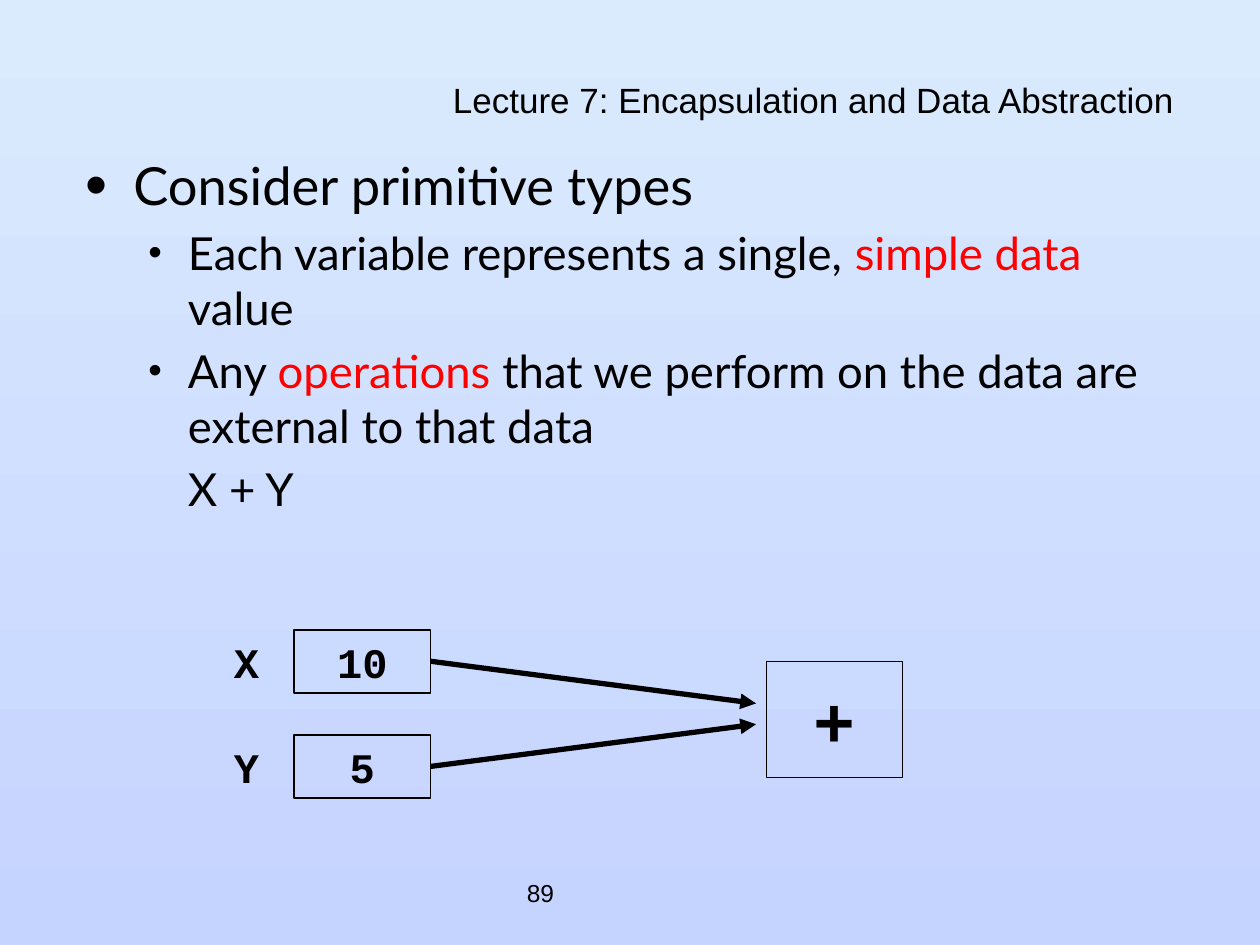
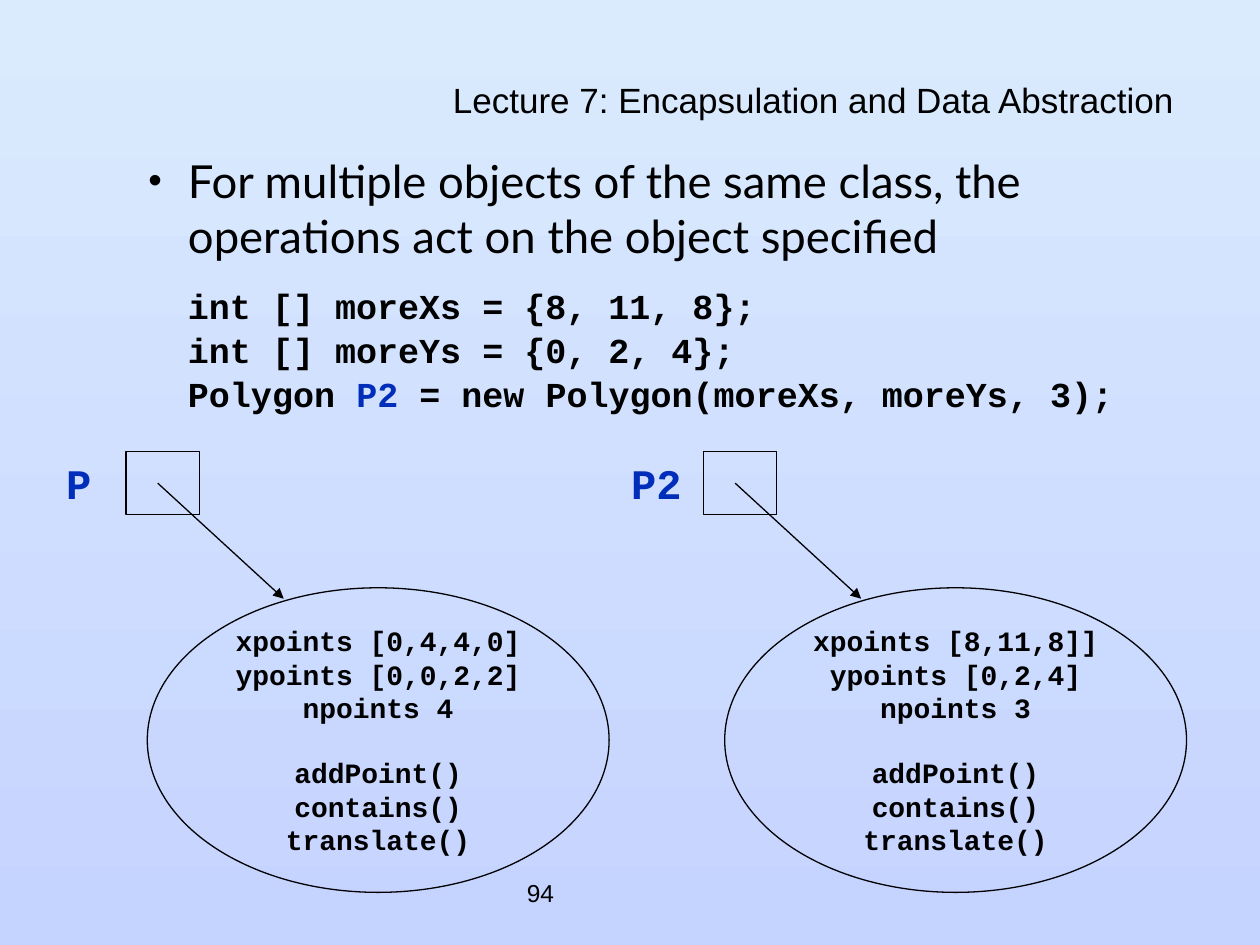
from dataclasses import dataclass

from lxml import etree
from pptx import Presentation, util as u
from pptx.dml.color import RGBColor
from pptx.enum import shapes, text
from pptx.oxml import ns


@dataclass(frozen=True)
class Theme:
    sky: str = "DAEBFE"
    lavender: str = "C5D3FF"
    ink: str = "000000"
    red: str = "FF0000"
    blue: str = "002DB9"
    sans: str = "Arial"
    body: str = "Lato"
    mono: str = "Courier New"
    page_size: int = 14
    title_size: int = 20
    topic_size: int = 30
    detail_size: int = 26
    code_size: int = 20
    name_size: int = 24
    member_size: int = 16
    operator_size: int = 40
    thin: float = 0.75
    thick: float = 3


theme = Theme()
align = text.PP_ALIGN
mono_bold = dict(font=theme.mono, bold=True)
centred = dict(mono_bold, alignment=align.CENTER)
topic = dict(font=theme.body, size=theme.topic_size, margin=0.96, indent=-0.96, bullet=120)
detail = dict(font=theme.body, size=theme.detail_size, level=1, margin=2.06, indent=-0.8, bullet=85)


def add_box(slide, left, top, width, height, kind=None, wrap=False):
    """Add an outlined shape, or a text box when no kind is given."""
    place = [u.Cm(length) for length in (left, top, width, height)]
    if kind is None:
        shape = slide.shapes.add_textbox(*place)
    else:
        shape = slide.shapes.add_shape(kind, *place)
        shape.shadow.inherit = False
        shape.fill.background()
        shape.line.color.rgb = RGBColor.from_string(theme.ink)
        shape.line.width = u.Pt(theme.thin)
    shape.text_frame.word_wrap = wrap
    shape.text_frame.vertical_anchor = text.MSO_ANCHOR.MIDDLE
    return shape


def write(shape, words, size, font, color=theme.ink, bold=False, alignment=align.LEFT, level=0,
          margin=0, indent=0, bullet=None, before=0, spacing=None, accent="", accent_color=theme.red):
    """Add one paragraph; the accent words within it take the accent colour."""
    frame = shape.text_frame
    paragraph = frame.add_paragraph() if frame.text else frame.paragraphs[0]
    paragraph.alignment = alignment
    paragraph.level = level
    properties = paragraph._p.get_or_add_pPr()
    properties.set("marL", str(u.Cm(margin)))
    properties.set("indent", str(u.Cm(indent)))
    if bullet:
        bullet_color = etree.SubElement(properties, ns.qn("a:buClr"))
        etree.SubElement(bullet_color, ns.qn("a:srgbClr"), val=color)
        etree.SubElement(properties, ns.qn("a:buSzPct"), val=str(bullet * 1000))
        etree.SubElement(properties, ns.qn("a:buFont"), typeface=theme.sans)
        etree.SubElement(properties, ns.qn("a:buChar"), char="•")
    if before:
        paragraph.space_before = u.Pt(before)
    if spacing:
        paragraph.line_spacing = spacing
    start, match, end = words.partition(accent) if accent else (words, "", "")
    for part, part_color in ((start, color), (match, accent_color), (end, color)):
        for number, line in enumerate(part.split("\n")):
            if number:
                paragraph.add_line_break()
            if line:
                run = paragraph.add_run()
                run.text = line
                run.font.name = font
                run.font.size = u.Pt(size)
                run.font.bold = bold
                run.font.color.rgb = RGBColor.from_string(part_color)


presentation = Presentation()
presentation.slide_width, presentation.slide_height = u.Cm(25.4), u.Cm(19.05)
rectangle, ellipse = shapes.MSO_SHAPE.RECTANGLE, shapes.MSO_SHAPE.OVAL

# Shared background, top to bottom
background = presentation.slide_master.background.fill
background.gradient()
background.gradient_angle = 270
for stop, color in zip(background.gradient_stops, (theme.sky, theme.lavender)):
    stop.color.rgb = RGBColor.from_string(color)

# Page number, title and body box of each slide
slides, bodies, arrows = [], [], []
for page in ("89", "94"):
    slide = presentation.slides.add_slide(presentation.slide_layouts[6])
    write(add_box(slide, 10.37, 17.36, 5.29, 1.27), page, theme.page_size, theme.sans)
    write(add_box(slide, 1.48, 1.69, 22.44, 0.85, wrap=True),
          "Lecture 7: Encapsulation and Data Abstraction", theme.title_size, theme.sans,
          alignment=align.RIGHT, spacing=0.7)
    body = add_box(slide, 1.48, 2.96, 22.44, 13.97, wrap=True)
    body.text_frame.vertical_anchor = text.MSO_ANCHOR.TOP
    slides.append(slide)
    bodies.append(body)
primitive_slide, object_slide = slides
primitive_body, object_body = bodies

# Primitive types: text
write(primitive_body, "Consider primitive types", **topic)
for words, accent in (
    ("Each variable represents a single, simple data value", "simple data"),
    ("Any operations that we perform on the data are external to that data", "operations"),
):
    write(primitive_body, words, accent=accent, before=5.2, **detail)
write(primitive_body, "X + Y", before=5.2, **dict(detail, indent=0, bullet=None))

# Primitive types: two variables feeding the operator
for row, (name, value) in enumerate((("X", "10"), ("Y", "5"))):
    top = 12.7 + row * 2.12
    write(add_box(primitive_slide, 4.02, top, 1.9, 1.27), name, theme.name_size, **centred)
    write(add_box(primitive_slide, 5.93, top, 2.75, 1.27, rectangle), value, theme.name_size, **centred)
    arrows.append((primitive_slide, 8.68, top + 0.63, 15.24, 14.18 + row * 0.42, theme.thick))
write(add_box(primitive_slide, 15.45, 13.34, 2.75, 2.33, rectangle), "+", theme.operator_size, **centred)

# Objects: text and code
write(object_body, "For multiple objects of the same class, the operations act on the object specified", **detail)
write(object_body,
      "int [] moreXs = {8, 11, 8};\n"
      "int [] moreYs = {0, 2, 4};\n"
      "Polygon P2 = new Polygon(moreXs, moreYs, 3);",
      theme.code_size, level=1, margin=2.06, before=12, spacing=u.Pt(25),
      accent="P2", accent_color=theme.blue, **mono_bold)

# Objects: each reference points to its own polygon
methods = ["addPoint()", "contains()", "translate()"]
polygons = (
    ("P", 0.64, 2.54, ["xpoints [0,4,4,0]", "ypoints [0,0,2,2]", "npoints 4"]),
    ("P2", 12.28, 14.18, ["xpoints [8,11,8]]", "ypoints [0,2,4]", "npoints 3"]),
)
for name, name_left, left, fields in polygons:
    write(add_box(object_slide, name_left, 9.1, 1.9, 1.27), name, theme.name_size, color=theme.blue, **centred)
    add_box(object_slide, left, 9.1, 1.48, 1.27, rectangle)
    polygon = add_box(object_slide, left + 0.43, 11.85, 9.31, 6.14, ellipse)
    for member in fields + methods:
        gap = 18 if member == methods[0] else 0
        write(polygon, member, theme.member_size, before=gap, **centred)
    arrows.append((object_slide, left + 0.64, 9.74, left + 3.18, 12.07, theme.thin))

# Arrows of both slides
for slide, *ends, width in arrows:
    arrow = slide.shapes.add_connector(shapes.MSO_CONNECTOR.STRAIGHT, *(u.Cm(end) for end in ends))
    arrow.line.color.rgb = RGBColor.from_string(theme.ink)
    arrow.line.width = u.Pt(width)
    etree.SubElement(arrow.line._get_or_add_ln(), ns.qn("a:tailEnd"), type="triangle")
    etree.SubElement(arrow._element.spPr, ns.qn("a:effectLst"))

presentation.save("out.pptx")
